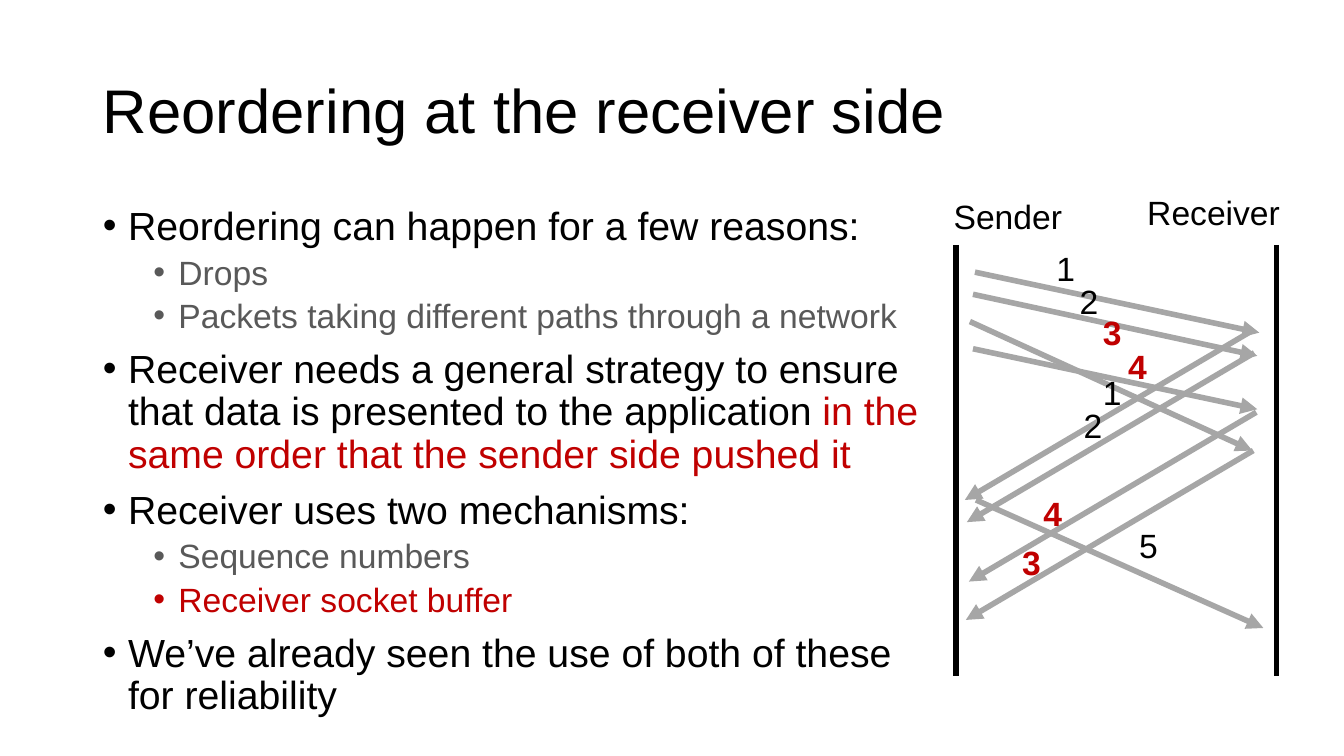
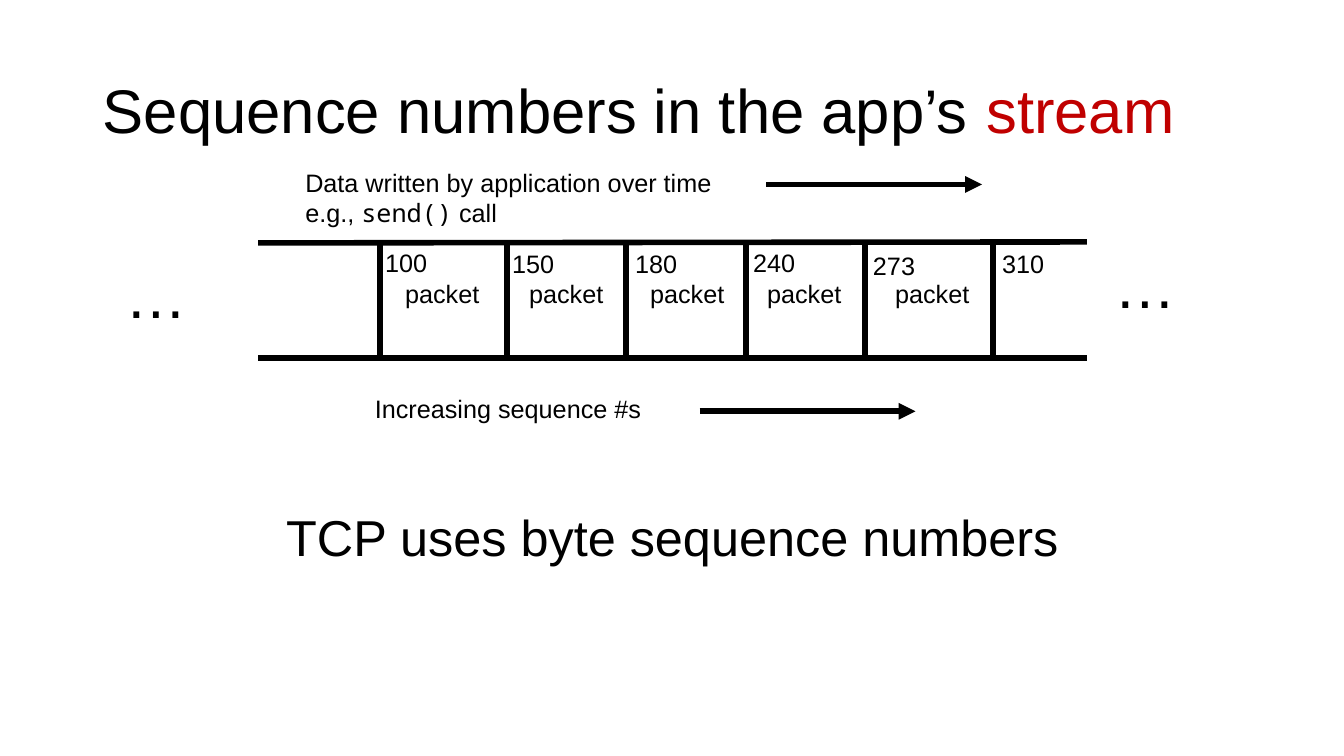
from lxml import etree
from pptx import Presentation
from pptx import util as u
from pptx.dml import color
from pptx.enum import shapes, text
from pptx.oxml import ns

COLS, ROWS = 13.33, 7.5
BLACK, RED, GREY, PALE = "000000", "C00000", "595959", "A6A6A6"
SANS, MONO = "Arial", "Noto Sans Mono"
LEFT, WIDE = 0.92, 11.5


def hue(code):
    return color.RGBColor.from_string(code)


def apply(item, form):
    for key, value in form.items():
        setattr(item, key, value)


def add(node, tag, **attrs):
    return etree.SubElement(node, ns.qn(tag), attrs)


class Deck:
    def __init__(self):
        self.show = Presentation()
        apply(self.show, {"slide_width": u.Inches(COLS),
                          "slide_height": u.Inches(ROWS)})
        self.cell = self.show.slide_width / COLS
        self.slide = None

    def span(self, count):
        return u.Emu(round(count * self.cell))

    def place(self, shape, box):
        names = ("left", "top", "width", "height")
        apply(shape, dict(zip(names, map(self.span, box))))

    def fill(self, para, runs, size, tint=BLACK, bold=False):
        for words, extra in runs:
            run = para.add_run()
            run.text = words
            form = {"size": u.Pt(size), "bold": bold, "name": SANS}
            form.update((k, v) for k, v in extra.items() if k != "tint")
            apply(run.font, form)
            run.font.color.rgb = hue(extra.get("tint", tint))

    def frame(self, shape, anchor):
        apply(shape.text_frame, {"word_wrap": True,
                                 "auto_size": text.MSO_AUTO_SIZE.NONE,
                                 "vertical_anchor": anchor})
        return shape.text_frame

    def lines(self, frame, count):
        for _ in range(count - 1):
            frame.add_paragraph()
        return frame.paragraphs

    def page(self, *runs):
        self.slide = self.show.slides.add_slide(self.show.slide_layouts[1])
        title = self.slide.shapes.title
        self.place(title, (LEFT, 0.4, WIDE, 1.45))
        para = self.frame(title, text.MSO_ANCHOR.MIDDLE).paragraphs[0]
        apply(para, {"alignment": text.PP_ALIGN.LEFT, "line_spacing": 0.9})
        self.fill(para, runs, 44)

    def body(self, box, items, sizes=(28, 24), bullet=True):
        shape = self.slide.placeholders[1]
        self.place(shape, box)
        frame = self.frame(shape, text.MSO_ANCHOR.TOP)
        side = text.PP_ALIGN.LEFT if bullet else text.PP_ALIGN.CENTER
        for para, (level, *runs) in zip(self.lines(frame, len(items)), items):
            apply(para, {"level": level, "line_spacing": 0.9,
                         "space_before": u.Pt((10, 5)[level]),
                         "alignment": side})
            self.fill(para, runs, sizes[level], (BLACK, GREY)[level])
            props = para._p.get_or_add_pPr()
            hang = self.span(0.25) if bullet else 0
            props.set("marL", str(hang + self.span(0.5 * level)))
            props.set("indent", str(-hang))
            if bullet:
                add(props, "a:buFont", typeface=SANS)
                add(props, "a:buChar", char="•")
            else:
                add(props, "a:buNone")

    def label(self, box, *rows, size=18, **form):
        shape = self.slide.shapes.add_textbox(*map(self.span, box))
        frame = self.frame(shape, text.MSO_ANCHOR.TOP)
        for para, runs in zip(self.lines(frame, len(rows)), rows):
            if isinstance(runs, str):
                runs = [(runs, {})]
            self.fill(para, runs, size, **form)

    def line(self, ends, tint=BLACK, arrow=False):
        link = self.slide.shapes.add_connector(
            shapes.MSO_CONNECTOR.STRAIGHT, *map(self.span, ends))
        link.line.width = u.Pt(4)
        link.line.color.rgb = hue(tint)
        if arrow:
            add(link.line._get_or_add_ln(), "a:tailEnd", type="triangle")
        add(link._element.spPr, "a:effectLst")


def reorder(deck):
    deck.page(("Reordering at the receiver side", {}))
    red = {"tint": RED}
    deck.body((LEFT, 2, 8.33, 5.34), [
        (0, ("Reordering can happen for a few reasons:", {})),
        (1, ("Drops", {})),
        (1, ("Packets taking different paths through a network", {})),
        (0, ("Receiver needs a general strategy to ensure that data is "
             "presented to the application ", {}),
         ("in the same order that the sender side pushed it", red)),
        (0, ("Receiver uses two mechanisms:", {})),
        (1, ("Sequence numbers", {})),
        (1, ("Receiver socket buffer", red)),
        (0, ("We’ve already seen the use of both of these for reliability",
             {})),
    ])
    for x in (9.48, 12.66):
        deck.line((x, 2.43, x, 6.71))
    deck.label((9.36, 1.89, 1.51, 0.5), "Sender", size=24)
    deck.label((11.28, 1.85, 1.68, 0.5), "Receiver", size=24)

    sends = [(9.67, 2.7, 12.49, 3.3), (9.65, 2.92, 12.47, 3.53),
             (9.62, 3.19, 12.42, 4.47), (9.65, 3.46, 12.47, 4.06),
             (9.68, 4.96, 12.53, 6.23)]
    acks = [(x, y, x - 2.85, y + 1.68) for x, y in
            ((12.42, 3.28), (12.44, 3.5), (12.46, 4.09), (12.43, 4.47))]
    for ends in sends + acks:
        deck.line(ends, PALE, arrow=True)

    marks = [("1", 10.38, 2.41), ("2", 10.61, 2.74), ("3", 10.84, 3.05),
             ("4", 11.09, 3.38), ("1", 10.84, 3.64), ("2", 10.65, 3.97),
             ("4", 10.25, 4.84), ("3", 10.04, 5.33), ("5", 11.2, 5.16)]
    for mark, x, y in marks:
        late = mark in "34"
        deck.label((x, y, 0.74, 0.5), mark, size=24,
                   tint=RED if late else BLACK, bold=late)


def stream(deck):
    deck.page(("Sequence numbers in the app’s ", {}),
              ("stream", {"tint": RED}))
    deck.body((LEFT, 5.04, WIDE, 2.18),
              [(0, ("TCP uses byte sequence numbers", {}))],
              sizes=(36,), bullet=False)
    deck.label((3.62, 3.85, 4.37, 0.4), "Increasing sequence #s")
    deck.label((2.93, 1.61, 5.76, 0.71),
               "Data written by application over time",
               [("e.g., ", {}), ("send()", {"name": MONO}), (" call", {})])
    for x, y in ((6.94, 4.08), (7.6, 1.83)):
        deck.line((x, y, x + 2.14, y), arrow=True)

    top, base = 2.41, 3.55
    deck.line((2.56, top, 10.78, 2.4))
    deck.line((2.56, base, 10.78, base))
    for x, y in ((1.15, 2.5), (10.96, 2.4)):
        deck.label((x, y, 1.22, 0.84), "…", size=44)

    cells = [("100", 3.77, 3.72, 2.4, 3.92), ("150", 5.03, 4.98, 2.41, 5.15),
             ("180", 6.21, 6.2, 2.41, 6.35), ("240", 7.4, 7.37, 2.4, 7.51),
             ("273", 8.58, 8.56, 2.43, 8.78), ("310", 9.85, 9.84, 2.41, None)]
    for number, bar, x, y, pack in cells:
        deck.line((bar, top, bar, base))
        deck.label((x, y, 0.71, 0.4), number)
        if pack:
            deck.label((pack, 2.71, 0.96, 0.4), "packet")


def main():
    deck = Deck()
    reorder(deck)
    stream(deck)
    deck.show.save("out.pptx")


if __name__ == "__main__":
    main()
